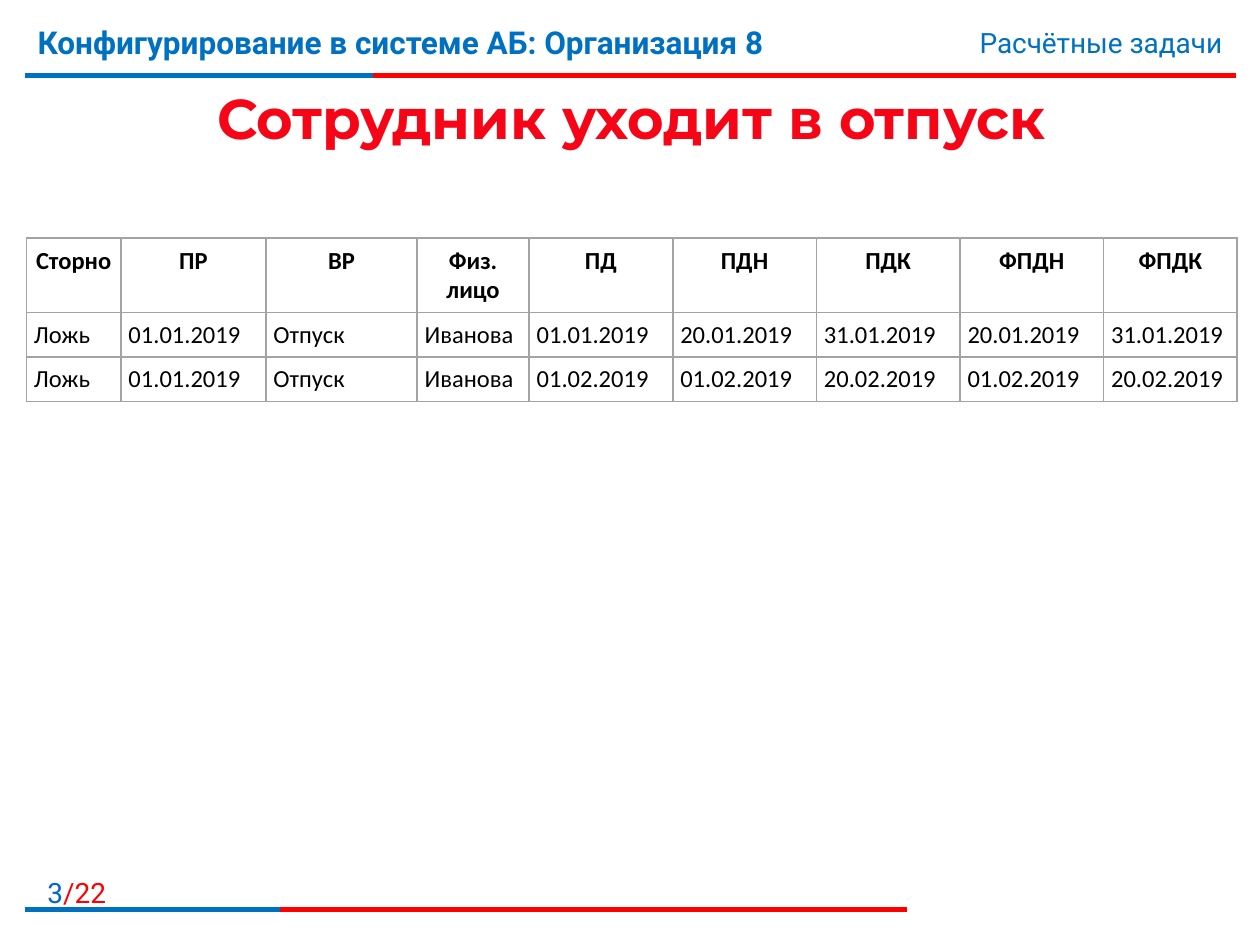
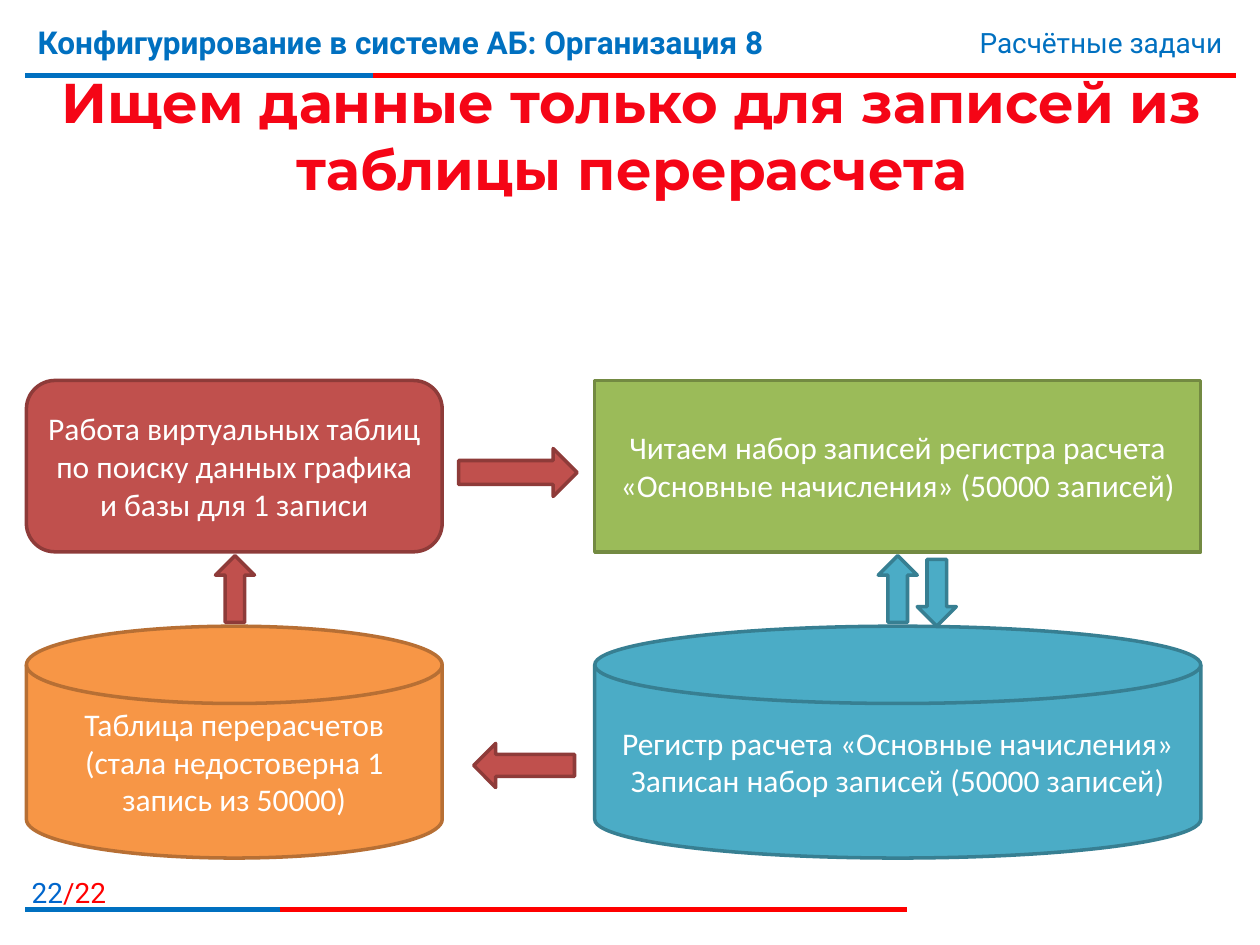
from dataclasses import dataclass

from lxml import etree
from pptx import Presentation
from pptx.dml.color import RGBColor
from pptx.enum.shapes import MSO_CONNECTOR, MSO_SHAPE
from pptx.enum.text import MSO_ANCHOR, MSO_AUTO_SIZE, PP_ALIGN
from pptx.oxml import parse_xml
from pptx.oxml.ns import nsdecls, qn
from pptx.util import Inches, Pt

LEFT, MID, RIGHT = PP_ALIGN.LEFT, PP_ALIGN.CENTER, PP_ALIGN.RIGHT
CENTER = MSO_ANCHOR.MIDDLE
FIXED = MSO_AUTO_SIZE.NONE
STRAIGHT = MSO_CONNECTOR.STRAIGHT
RECT, ROUND = MSO_SHAPE.RECTANGLE, MSO_SHAPE.ROUNDED_RECTANGLE
DISK = MSO_SHAPE.FLOWCHART_MAGNETIC_DISK
UP, DOWN = MSO_SHAPE.UP_ARROW, MSO_SHAPE.DOWN_ARROW
TO_LEFT, TO_RIGHT = MSO_SHAPE.LEFT_ARROW, MSO_SHAPE.RIGHT_ARROW


@dataclass(frozen=True)
class Theme:
    head: str = "Montserrat"
    band: str = "Roboto"
    body: str = "Calibri"
    blue: str = "0070C0"
    page: str = "0066CC"
    red: str = "FF0000"
    title: tuple = (("F50516", 0.55), ("C00000", 0.86))
    grid: str = "A3A3A3"
    black: str = "000000"
    white: str = "FFFFFF"
    # fill and outline of each block
    brick: tuple = ("C0504D", "8E3B39")
    green: tuple = ("9BBB59", "738A42")
    teal: tuple = ("4BACC6", "377F92")
    amber: tuple = ("F79646", "B76F34")
    title_size: int = 32
    course_size: int = 18
    note_size: int = 16
    cell_size: int = 14
    box_size: int = 18


THEME = Theme()
TOTAL = 22
EDGE = 0.21

COLS = (0.75, 1.15, 1.2, 0.89, 1.14, 1.14, 1.14, 1.14, 1.06)
ROWS = (0.59, 0.35, 0.35)
LEAVE = (
    ("Сторно", "ПР", "ВР", "Физ. лицо", "ПД", "ПДН", "ПДК", "ФПДН", "ФПДК"),
    ("Ложь", "01.01.2019", "Отпуск", "Иванова", "01.01.2019",
     "20.01.2019", "31.01.2019", "20.01.2019", "31.01.2019"),
    ("Ложь", "01.01.2019", "Отпуск", "Иванова", "01.02.2019",
     "01.02.2019", "20.02.2019", "01.02.2019", "20.02.2019"),
)


def style(obj, **values):
    for name, value in values.items():
        setattr(obj, name, value)


def paint(font, face, size, color, bold=False):
    style(font, name=face, size=Pt(size), bold=bold)
    font.color.rgb = RGBColor.from_string(color)


def add_line(slide, x1, x2, y, color):
    line = slide.shapes.add_connector(
        STRAIGHT, Inches(x1), Inches(y), Inches(x2), Inches(y))
    line.line.color.rgb = RGBColor.from_string(color)
    line.line.width = Pt(3)
    etree.SubElement(line._element.spPr, qn("a:effectLst"))


def add_rule(slide, y, split, end):
    """Draw a red line whose start, up to split, is blue."""
    add_line(slide, 0.2, end, y, THEME.red)
    add_line(slide, 0.2, split, y, THEME.blue)


def add_label(slide, at, parts, size, align=LEFT, bold=False):
    """Add one line of text from (text, colour) parts."""
    box = slide.shapes.add_textbox(*map(Inches, at))
    box.text_frame.word_wrap = True
    line = box.text_frame.paragraphs[0]
    line.alignment = align
    for text, color in parts:
        run = line.add_run()
        run.text = text
        paint(run.font, THEME.band, size, color, bold)


def add_frame(slide, page):
    add_rule(slide, 0.6, 2.96, 9.81)
    add_label(slide, (0, 6.9, 0.94, 0.32),
              ((str(page), THEME.page), (f"/{TOTAL}", THEME.red)),
              THEME.note_size, RIGHT)
    add_rule(slide, 7.22, 2.22, 7.2)
    add_label(slide, (0.2, 0.13, 7.4, 0.62),
              (("Конфигурирование в системе АБ: Организация 8", THEME.blue),),
              THEME.course_size, bold=True)
    add_label(slide, (5.94, 0.15, 3.86, 0.37),
              (("Расчётные задачи", THEME.blue),), THEME.note_size, RIGHT)


def set_title(slide, text, height):
    title = slide.shapes.title
    style(title, left=Inches(EDGE), top=Inches(0.63),
          width=Inches(9.61), height=Inches(height))
    frame = title.text_frame
    frame.text = text
    style(frame, word_wrap=True, auto_size=FIXED, vertical_anchor=CENTER)
    line = frame.paragraphs[0]
    line.alignment = MID
    font = line.runs[0].font
    style(font, name=THEME.head, size=Pt(THEME.title_size), bold=True)
    font.fill.gradient()
    font.fill.gradient_angle = 270
    for stop, (color, place) in zip(font.fill.gradient_stops, THEME.title):
        stop.color.rgb = RGBColor.from_string(color)
        stop.position = place


def add_slide(deck, page, title, height):
    slide = deck.slides.add_slide(deck.slide_layouts[5])
    add_frame(slide, page)
    set_title(slide, title, height)
    return slide


def add_edges(cell):
    props = cell._tc.get_or_add_tcPr()
    for spot, side in enumerate(("lnL", "lnR", "lnT", "lnB")):
        props.insert(spot, parse_xml(
            f'<a:{side} {nsdecls("a")} w="12700"><a:solidFill>'
            f'<a:srgbClr val="{THEME.grid}"/></a:solidFill></a:{side}>'))


def fill_cell(cell, text, head):
    pad = Inches(0.06)
    style(cell, text=text, margin_left=pad, margin_right=pad,
          margin_top=pad, margin_bottom=pad)
    cell.fill.background()
    add_edges(cell)
    line = cell.text_frame.paragraphs[0]
    line.alignment = MID if head else LEFT
    paint(line.runs[0].font, THEME.body, THEME.cell_size, THEME.black, head)


def add_grid(slide, left, top, data):
    table = slide.shapes.add_table(
        len(ROWS), len(COLS), Inches(left), Inches(top),
        Inches(sum(COLS)), Inches(sum(ROWS))).table
    style(table, first_row=False, horz_banding=False)
    for col, width in zip(table.columns, COLS):
        col.width = Inches(width)
    for row, height in zip(table.rows, ROWS):
        row.height = Inches(height)
    for r, row in enumerate(data):
        for c, text in enumerate(row):
            fill_cell(table.cell(r, c), text, r == 0)


def add_block(slide, kind, at, colors, text=""):
    block = slide.shapes.add_shape(kind, *map(Inches, at))
    fill, edge = map(RGBColor.from_string, colors)
    block.shadow.inherit = False
    block.fill.solid()
    block.fill.fore_color.rgb = fill
    block.line.color.rgb = edge
    block.line.width = Pt(2)
    if text:
        frame = block.text_frame
        style(frame, text=text, word_wrap=True, vertical_anchor=CENTER)
        line = frame.paragraphs[0]
        line.alignment = MID
        for run in line.runs:
            paint(run.font, THEME.body, THEME.box_size, THEME.white)


def add_flow(slide):
    near, far = (EDGE, 3.3), (4.72, 4.81)  # left and width of each column
    high, low = (3.02, 1.36), (4.97, 1.84)  # top and height of each row
    boxes = (
        (RECT, far, high, THEME.green,
         "Читаем набор записей регистра расчета "
         "«Основные начисления» (50000 записей)"),
        (DISK, far, low, THEME.teal,
         "Регистр расчета «Основные начисления»\v"
         "Записан набор записей (50000 записей)"),
        (ROUND, near, high, THEME.brick,
         "Работа виртуальных таблиц по поиску данных графика "
         "и базы для 1 записи"),
        (DISK, near, low, THEME.amber,
         "Таблица перерасчетов\v(стала недостоверна 1 запись из 50000)"),
    )
    for kind, (x, w), (y, h), colors, text in boxes:
        add_block(slide, kind, (x, y, w, h), colors, text)
    arrows = (
        (UP, (6.97, 4.41, 0.31, 0.53), THEME.teal),
        (DOWN, (7.28, 4.44, 0.31, 0.53), THEME.teal),
        (UP, (1.71, 4.41, 0.31, 0.53), THEME.brick),
        (TO_RIGHT, (3.64, 3.56, 0.94, 0.38), THEME.brick),
        (TO_LEFT, (3.76, 5.9, 0.8, 0.35), THEME.brick),
    )
    for kind, at, colors in arrows:
        add_block(slide, kind, at, colors)


def main():
    deck = Presentation()
    style(deck, slide_width=Inches(10), slide_height=Inches(7.5))
    leave = add_slide(deck, 3, "Сотрудник уходит в отпуск", 0.6)
    add_grid(leave, EDGE, 1.89, LEAVE)
    search = add_slide(
        deck, 22, "Ищем данные только для записей из таблицы перерасчета", 0.88)
    add_flow(search)
    deck.save("out.pptx")


if __name__ == "__main__":
    main()
